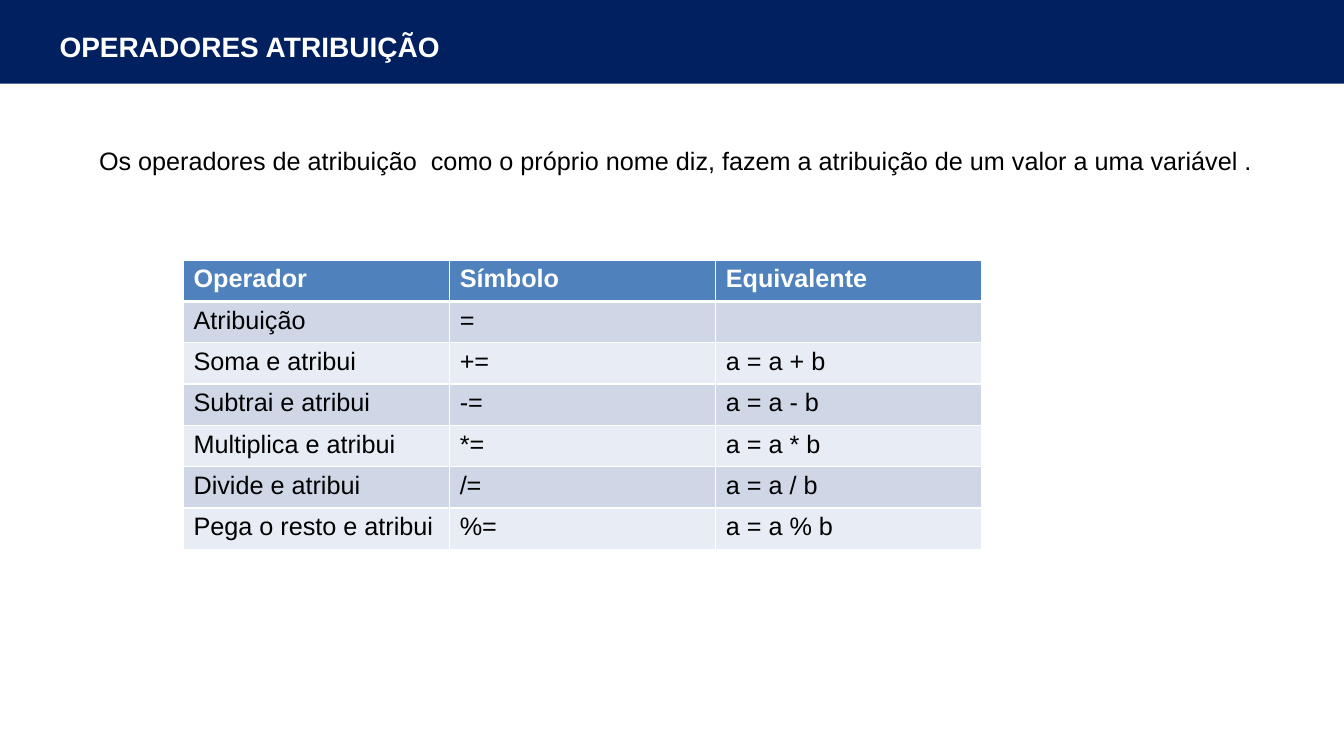
from lxml import etree
from pptx import Presentation
from pptx.dml.color import RGBColor
from pptx.enum.shapes import MSO_SHAPE as Shape
from pptx.enum.text import MSO_ANCHOR as Anchor, PP_ALIGN as Align
from pptx.oxml.ns import qn
from pptx.util import Inches, Pt

NAVY, BLUE, WHITE, BLACK = "002060", "4F81BD", "FFFFFF", "000000"
BANDS = ("CFD7E7", "E8ECF4")
ROWS = [
    ("Operador", "Símbolo", "Equivalente"),
    ("Atribuição", "=", ""),
    ("Soma e atribui", "+=", "a = a + b"),
    ("Subtrai e atribui", "-=", "a = a - b"),
    ("Multiplica e atribui", "*=", "a = a * b"),
    ("Divide e atribui", "/=", "a = a / b"),
    ("Pega o resto e atribui", "%=", "a = a % b"),
]


def color(value):
    return RGBColor.from_string(value)


def set_fill(item, value):
    item.fill.solid()
    item.fill.fore_color.rgb = color(value)


def write(frame, text, size=18, font_color=BLACK, bold=False,
          align=Align.LEFT, anchor=Anchor.TOP):
    frame.word_wrap = True
    frame.vertical_anchor = anchor
    paragraph = frame.paragraphs[0]
    paragraph.alignment = align
    paragraph.font.size = Pt(size)
    if text:
        run = paragraph.add_run()
        run.text = text
        run.font.name = "Arial"
        run.font.size = Pt(size)
        run.font.bold = bold
        run.font.color.rgb = color(font_color)


def set_borders(cell, bottom_width):
    properties = cell._tc.get_or_add_tcPr()
    widths = {"a:lnL": 1, "a:lnR": 1, "a:lnT": 1, "a:lnB": bottom_width}
    # Border lines come before the fill in the cell properties
    for position, (tag, width) in enumerate(widths.items()):
        line = etree.Element(qn(tag), w=str(Pt(width)))
        fill = etree.SubElement(line, qn("a:solidFill"))
        etree.SubElement(fill, qn("a:srgbClr"), val=WHITE)
        properties.insert(position, line)


def add_title(slide, text):
    title = slide.shapes.title
    title.left, title.top = Inches(0.49), Inches(0.14)
    title.width, title.height = Inches(4.54), Inches(0.64)
    write(title.text_frame, text, size=20, font_color=WHITE, bold=True,
          anchor=Anchor.MIDDLE)

    # Header band, behind the title
    band = slide.shapes.add_shape(
        Shape.RECTANGLE, Inches(-0.01), 0, Inches(13.35), Inches(0.83))
    band.shadow.inherit = False
    set_fill(band, NAVY)
    band.line.fill.background()
    title.element.addprevious(band.element)


def add_intro(slide, text):
    box = slide.shapes.add_textbox(
        Inches(0.49), Inches(0.78), Inches(12.42), Inches(1.01))
    write(box.text_frame, text, align=Align.CENTER, anchor=Anchor.BOTTOM)


def add_operator_table(slide, rows):
    column_width, row_height = 2.64, 0.41
    table = slide.shapes.add_table(
        len(rows), len(rows[0]), Inches(1.82), Inches(2.58),
        Inches(column_width * len(rows[0])),
        Inches(row_height * len(rows))).table
    for row_index, row in enumerate(rows):
        header = row_index == 0
        for column_index, text in enumerate(row):
            cell = table.cell(row_index, column_index)
            set_fill(cell, BLUE if header else BANDS[(row_index - 1) % 2])
            set_borders(cell, 3 if header else 1)
            write(cell.text_frame, text, bold=header,
                  font_color=WHITE if header else BLACK)


def main():
    presentation = Presentation()
    presentation.slide_width = Inches(13.33)
    presentation.slide_height = Inches(7.5)
    slide = presentation.slides.add_slide(presentation.slide_layouts[5])

    add_title(slide, "OPERADORES ATRIBUIÇÃO")
    add_intro(slide, "Os operadores de atribuição  como o próprio nome diz, "
                     "fazem a atribuição de um valor a uma variável .")
    add_operator_table(slide, ROWS)
    presentation.save("out.pptx")


if __name__ == "__main__":
    main()
